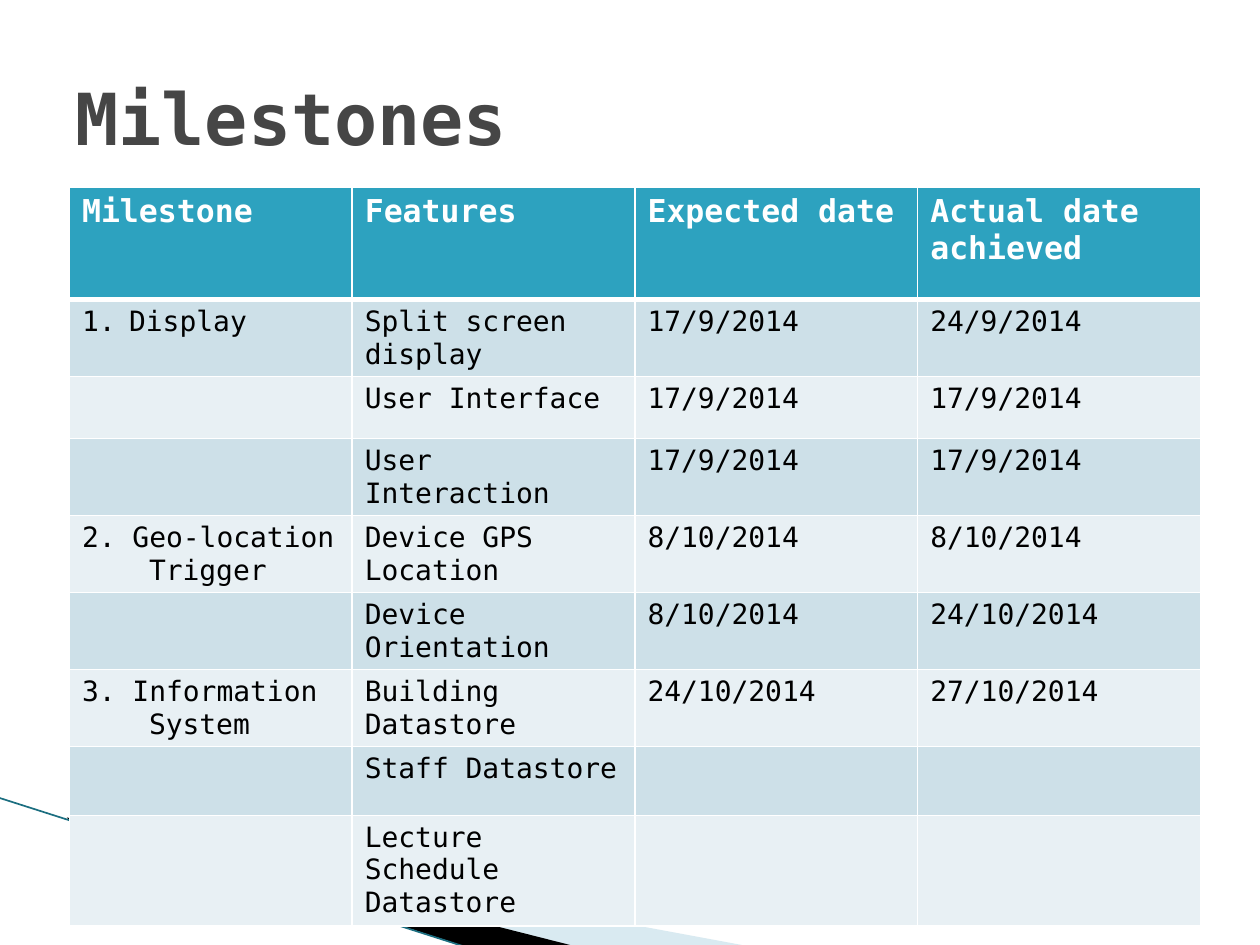
from dataclasses import dataclass

import lxml.etree
import pptx
import pptx.dml.color
import pptx.enum.shapes
import pptx.enum.text
import pptx.oxml.ns
import pptx.util
from pptx.util import Cm, Pt

qn = pptx.oxml.ns.qn


@dataclass(frozen=True)
class Theme:
    font: str = "DejaVu Sans Mono"
    title_size: int = 41
    header_size: int = 18
    body_size: int = 16
    title: str = "464646"
    header: str = "2DA2BF"
    bands: tuple[str, str] = ("CDE0E8", "E8F0F4")
    white: str = "FFFFFF"
    black: str = "000000"
    pale_wave: str = "A0CBDC"
    wave_edge: str = "1B6E80"


@dataclass(frozen=True)
class Wave:
    frame: tuple[float, float, float, float]
    points: tuple[tuple[float, float], ...]
    color: str
    opacity: int = 100


@dataclass(frozen=True)
class Feature:
    name: str
    expected: str = ""
    achieved: str = ""
    milestone: str = ""
    hanging: float = 0
    numbered: bool = False


THEME = Theme()
HEADINGS = ("Milestone", "Features", "Expected date", "Actual date achieved")
COLUMN_WIDTH = 5.7
ROW_HEIGHTS = (2.26, 1.3, 1.25, 1.24, 1.24, 1.42, 1.4, 1.39, 1.4)
BODY_BOTTOM_MARGIN = 0.07
WAVES = (
    Wave((1.98, 13.89, 10.57, 4.01),
         ((1.4, 16.54), (15.11, 19.08), (11.58, 19.08), (1.4, 16.51)),
         THEME.pale_wave, 40),
    Wave((-0.15, 16.08, 10.57, 2.34),
         ((1.35, 16.48), (11.61, 19.08), (9.45, 19.1), (1.37, 16.51)),
         THEME.black),
)
FEATURES = (
    Feature("Split screen display", "17/9/2014", "24/9/2014", "Display", 0.95, True),
    Feature("User Interface", "17/9/2014", "17/9/2014"),
    Feature("User Interaction", "17/9/2014", "17/9/2014"),
    Feature("Device GPS Location", "8/10/2014", "8/10/2014",
            "2. Geo-location\nTrigger", 1.35),
    Feature("Device Orientation", "8/10/2014", "24/10/2014"),
    Feature("Building Datastore", "24/10/2014", "27/10/2014",
            "3. Information\nSystem", 1.35),
    Feature("Staff Datastore"),
    Feature("Lecture Schedule Datastore"),
)


def rgb(color: str) -> pptx.dml.color.RGBColor:
    return pptx.dml.color.RGBColor.from_string(color)


def write(paragraph, text: str, size: int, color: str, bold: bool) -> None:
    paragraph.text = text
    font = paragraph.font
    font.name, font.size, font.bold = THEME.font, Pt(size), bold
    font.color.rgb = rgb(color)


def set_frame(shape, frame: tuple[float, float, float, float]) -> None:
    """Give the outline its own frame while its points stay in place."""
    left, top, width, height = map(Cm, frame)
    shift_x, shift_y = shape.left - left, shape.top - top
    for outline in shape._element.iter(qn("a:path")):
        outline.set("w", str(width))
        outline.set("h", str(height))
        for point in outline.iter(qn("a:pt")):
            point.set("x", str(int(point.get("x")) + shift_x))
            point.set("y", str(int(point.get("y")) + shift_y))
    shape.left, shape.top, shape.width, shape.height = left, top, width, height


def draw_wave(slide, wave: Wave) -> None:
    start, *rest = [(Cm(x), Cm(y)) for x, y in wave.points]
    builder = slide.shapes.build_freeform(*start)
    builder.add_line_segments(rest, close=True)
    shape = builder.convert_to_shape()
    set_frame(shape, wave.frame)
    shape.shadow.inherit = False
    shape.fill.solid()
    shape.fill.fore_color.rgb = rgb(wave.color)
    shape.line.fill.background()
    if wave.opacity < 100:
        color = shape.fill._xPr.find(".//" + qn("a:srgbClr"))
        lxml.etree.SubElement(color, qn("a:alpha"), val=str(wave.opacity * 1000))


def draw_wave_edge(slide) -> None:
    edge = slide.shapes.add_connector(
        pptx.enum.shapes.MSO_CONNECTOR.STRAIGHT,
        Cm(-0.03), Cm(16.08), Cm(9.42), Cm(19.1))
    edge.line.color.rgb = rgb(THEME.wave_edge)
    edge.line.width = Pt(0.95)
    lxml.etree.SubElement(edge._element.spPr, qn("a:effectLst"))


def draw_title(slide, text: str) -> None:
    title = slide.shapes.add_textbox(Cm(1.27), Cm(0.76), Cm(22.86), Cm(3.18))
    frame = title.text_frame
    frame.word_wrap = True
    frame.vertical_anchor = pptx.enum.text.MSO_ANCHOR.MIDDLE
    write(frame.paragraphs[0], text, THEME.title_size, THEME.title, True)


def style_cell(cell, fill: str, top: float, bottom: float) -> None:
    cell.fill.solid()
    cell.fill.fore_color.rgb = rgb(fill)
    properties = cell._tc.get_or_add_tcPr()
    widths = {"lnL": 1, "lnR": 1, "lnT": top, "lnB": bottom}
    for place, (side, width) in enumerate(widths.items()):
        border = lxml.etree.Element(qn(f"a:{side}"), w=str(Pt(width)))
        solid = lxml.etree.SubElement(border, qn("a:solidFill"))
        lxml.etree.SubElement(solid, qn("a:srgbClr"), val=THEME.white)
        properties.insert(place, border)


def hang(paragraph, indent: float, numbered: bool) -> None:
    properties = paragraph._p.get_or_add_pPr()
    properties.set("marL", str(Cm(indent)))
    properties.set("indent", str(-Cm(indent)))
    if numbered:
        number = lxml.etree.Element(qn("a:buAutoNum"), type="arabicPeriod")
        properties.insert(0, number)


def draw_milestones(slide) -> None:
    table = slide.shapes.add_table(
        len(FEATURES) + 1, len(HEADINGS), Cm(1.4), Cm(3.78),
        Cm(COLUMN_WIDTH * len(HEADINGS)), Cm(sum(ROW_HEIGHTS))).table
    for column in table.columns:
        column.width = Cm(COLUMN_WIDTH)
    for row, height in zip(table.rows, ROW_HEIGHTS):
        row.height = Cm(height)

    # Header row
    for column, heading in enumerate(HEADINGS):
        cell = table.cell(0, column)
        style_cell(cell, THEME.header, 1, 3)
        write(cell.text_frame.paragraphs[0], heading,
              THEME.header_size, THEME.white, True)

    # Feature rows in alternating bands
    for row, feature in enumerate(FEATURES, start=1):
        texts = (feature.milestone, feature.name, feature.expected, feature.achieved)
        for column, text in enumerate(texts):
            cell = table.cell(row, column)
            style_cell(cell, THEME.bands[(row - 1) % 2], 3 if row == 1 else 1, 1)
            cell.margin_bottom = Cm(BODY_BOTTOM_MARGIN)
            if text:
                write(cell.text_frame.paragraphs[0], text,
                      THEME.body_size, THEME.black, False)
        if feature.hanging:
            hang(table.cell(row, 0).text_frame.paragraphs[0],
                 feature.hanging, feature.numbered)


def main() -> None:
    presentation = pptx.Presentation()
    presentation.slide_width, presentation.slide_height = Cm(25.4), Cm(19.05)
    slide = presentation.slides.add_slide(presentation.slide_layouts[6])

    # Corner decoration
    for wave in WAVES:
        draw_wave(slide, wave)
    draw_wave_edge(slide)

    # Content
    draw_title(slide, "Milestones")
    draw_milestones(slide)
    presentation.save("out.pptx")


if __name__ == "__main__":
    main()
